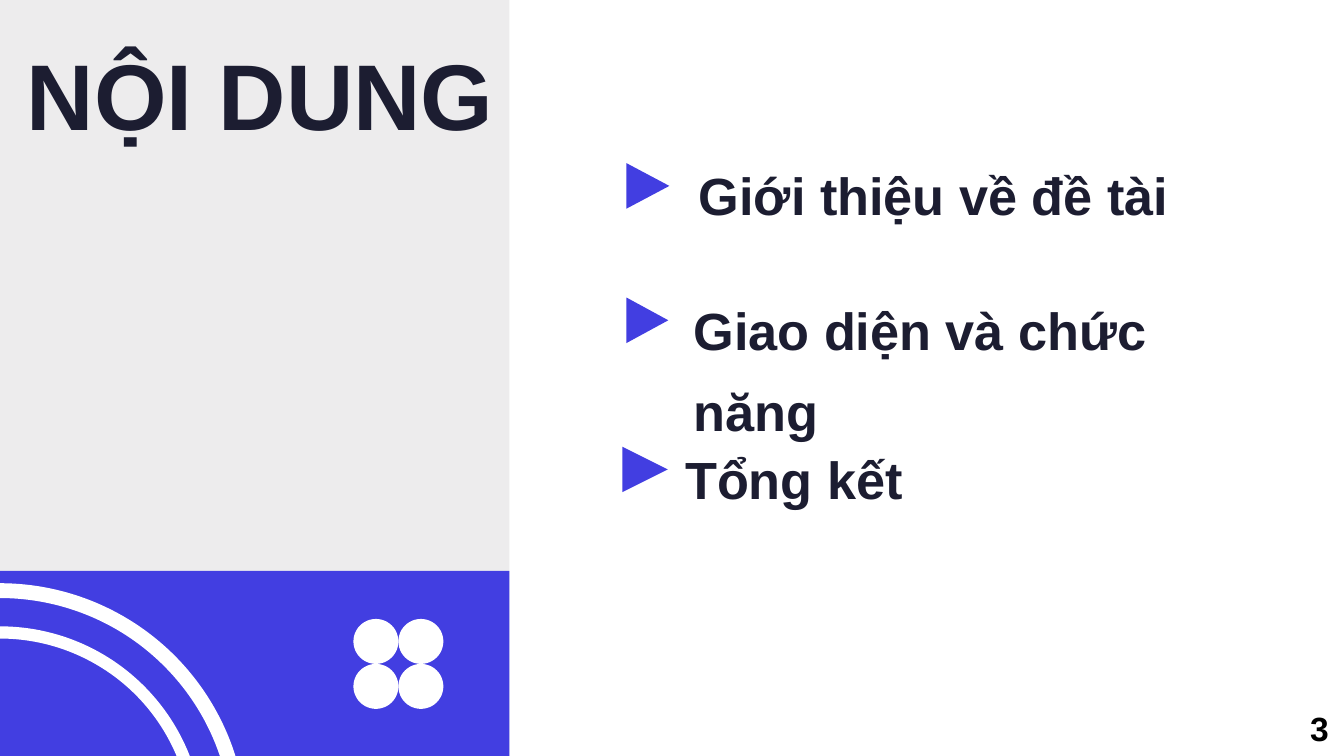
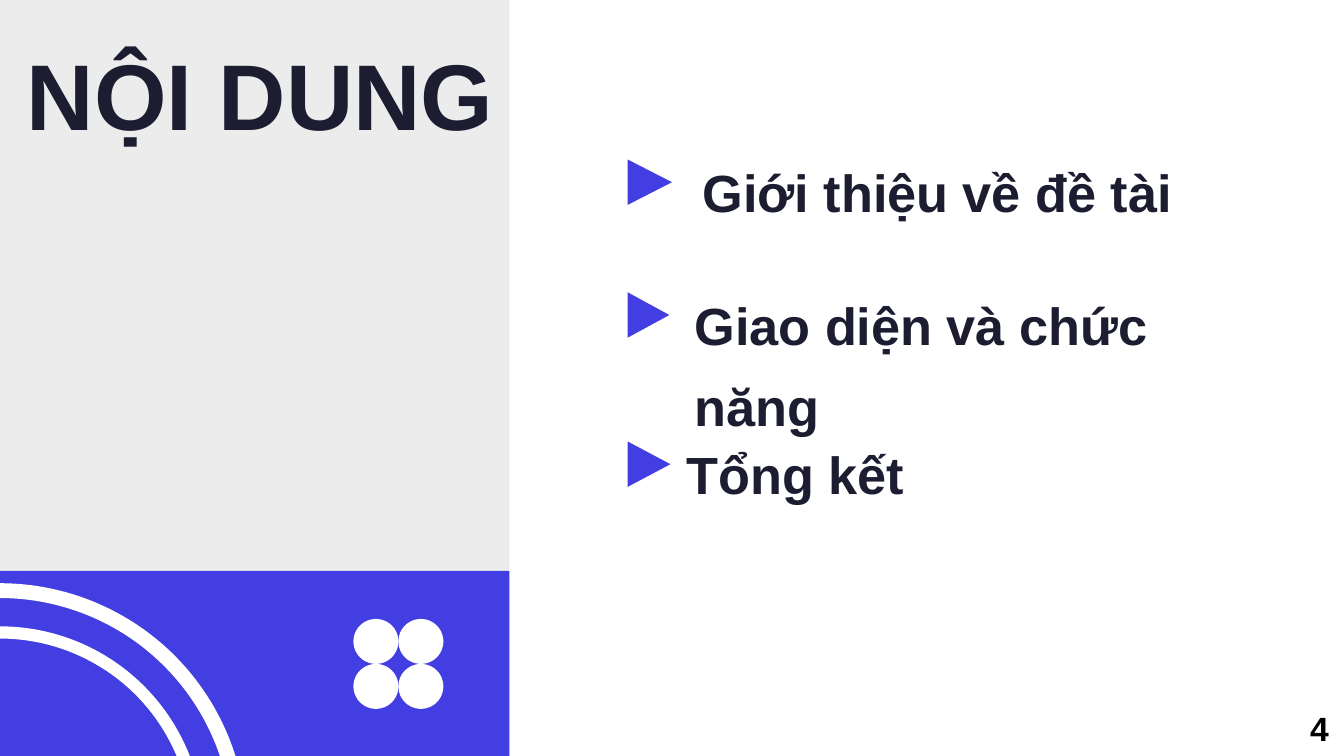
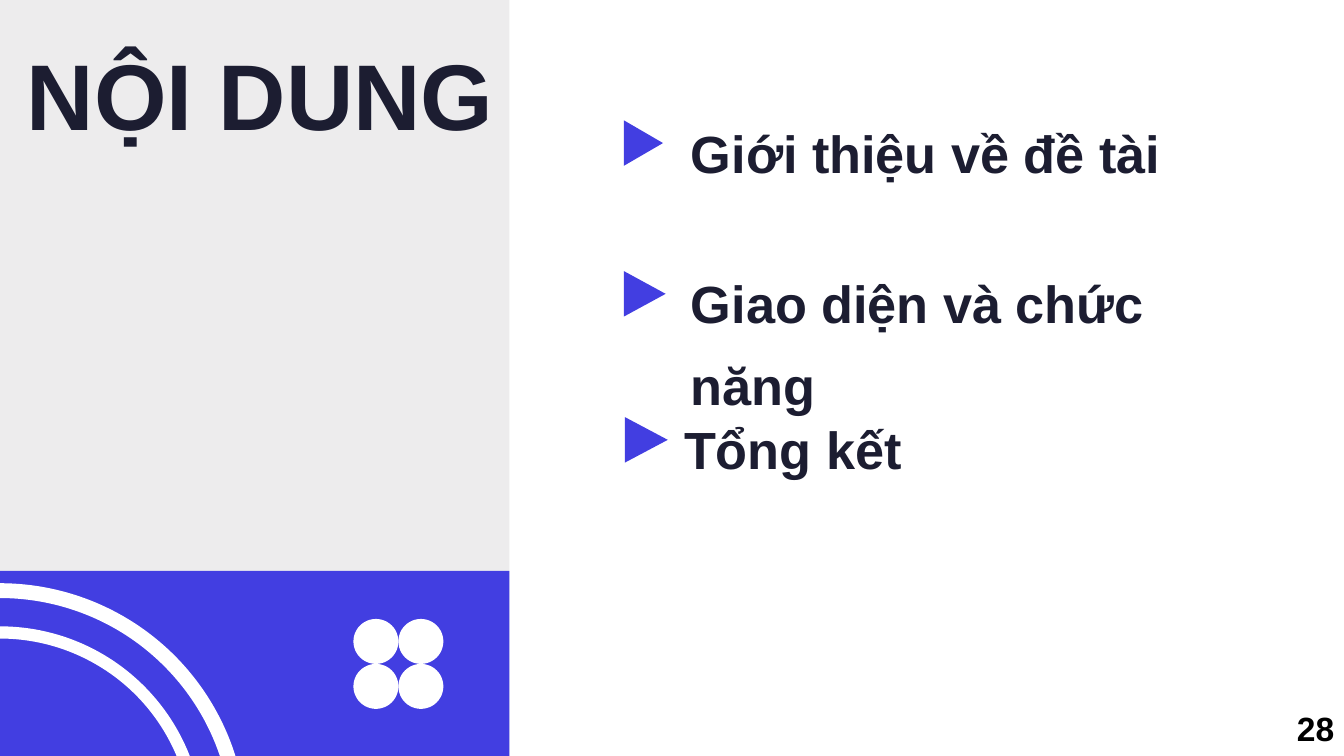
"""Build three agenda slides with a shared side panel, ring ornament and page number."""
from itertools import product

from pptx import Presentation
from pptx.dml.color import RGBColor
from pptx.enum.shapes import MSO_SHAPE
from pptx.enum.text import MSO_ANCHOR, MSO_AUTO_SIZE, PP_ALIGN
from pptx.util import Cm, Pt

RECTANGLE, OVAL = MSO_SHAPE.RECTANGLE, MSO_SHAPE.OVAL
DONUT, TRIANGLE = MSO_SHAPE.DONUT, MSO_SHAPE.ISOSCELES_TRIANGLE
TOP, LEFT = MSO_ANCHOR.TOP, PP_ALIGN.LEFT
FIXED, GROW = MSO_AUTO_SIZE.NONE, MSO_AUTO_SIZE.SHAPE_TO_FIT_TEXT

GREY = RGBColor(0xED, 0xEC, 0xED)
BLUE = RGBColor(0x42, 0x3E, 0xE1)
NAVY = RGBColor(0x1C, 0x1D, 0x31)
WHITE = RGBColor(0xFF, 0xFF, 0xFF)
BLACK = RGBColor(0x00, 0x00, 0x00)
FONT = "Arial"

TITLE = "NỘI DUNG"
TOPICS = ["Giới thiệu về đề tài", "Giao diện và chức năng", "Tổng kết"]

# Per topic: text left, text top, text width, marker left, marker length (cm)
AGENDAS = [
    {"number": "3", "number_left": 24.51, "number_width": 1.19, "places": [
        (13.21, 2.74, 10.9, 11.84, 0.81),
        (13.11, 5.28, 10.62, 11.84, 0.79),
        (12.95, 8.1, 11.68, 11.76, 0.86)]},
    {"number": "4", "number_left": 24.51, "number_width": 1.19, "places": [
        (13.28, 2.67, 11.2, 11.86, 0.84),
        (13.13, 5.18, 10.62, 11.86, 0.79),
        (12.98, 8.0, 11.0, 11.86, 0.81)]},
    {"number": "28", "number_left": 24.26, "number_width": 1.45, "places": [
        (13.06, 1.93, 9.96, 11.79, 0.74),
        (13.06, 4.78, 10.62, 11.79, 0.79),
        (12.93, 7.54, 11.0, 11.81, 0.81)]},
]

SLIDE_WIDTH, SLIDE_HEIGHT = 25.4, 14.29
PANEL_WIDTH, BAND_TOP = 9.63, 10.79
RING_CENTRE_Y, RING_DIAMETERS, RING_THICKNESS = 15.69, (9.33, 7.7), 0.03
CLOVER_LEFT, CLOVER_TOP, PETAL = 6.68, 11.7, 0.85
TOPIC_HEIGHT, MARKER_BASE = 1.55, 0.86


def add_filled(shapes, kind, left, top, width, height, color):
    shape = shapes.add_shape(kind, Cm(left), Cm(top), Cm(width), Cm(height))
    shape.shadow.inherit = False
    shape.fill.solid()
    shape.fill.fore_color.rgb = color
    shape.line.fill.background()
    return shape


def write(box, text, size, color, spacing=1.0, margin=True, fit=GROW):
    frame = box.text_frame
    frame.text = text
    frame.word_wrap = True
    frame.auto_size = fit
    frame.vertical_anchor = TOP
    if not margin:
        frame.margin_left = frame.margin_right = 0
        frame.margin_top = frame.margin_bottom = 0
    paragraph = frame.paragraphs[0]
    paragraph.alignment = LEFT
    paragraph.line_spacing = spacing
    font = paragraph.font
    font.name, font.size, font.bold = FONT, Pt(size), True
    font.color.rgb = color


def add_side_panel(slide):
    shapes, title = slide.shapes, slide.shapes.title
    for top, color in ((0, GREY), (BAND_TOP, BLUE)):
        panel = add_filled(shapes, RECTANGLE, 0, top, PANEL_WIDTH, SLIDE_HEIGHT - top, color)
        title.element.addprevious(panel.element)

    title.left, title.top, title.width, title.height = Cm(0.51), Cm(0.71), Cm(8.92), Cm(2.13)
    write(title, TITLE, 50, NAVY, margin=False, fit=FIXED)

    rings = shapes.add_group_shape().shapes
    for diameter in RING_DIAMETERS:
        radius = diameter / 2
        ring = add_filled(rings, DONUT, -radius, RING_CENTRE_Y - radius, diameter, diameter, WHITE)
        ring.adjustments[0] = RING_THICKNESS

    clover = shapes.add_group_shape().shapes
    for row, column in product(range(2), repeat=2):
        add_filled(clover, OVAL, CLOVER_LEFT + column * PETAL, CLOVER_TOP + row * PETAL,
                   PETAL, PETAL, WHITE)


def add_topic(slide, text, place):
    left, top, width, marker_left, length = place
    topic = slide.shapes.add_group_shape().shapes
    box = topic.add_textbox(Cm(left), Cm(top), Cm(width), Cm(TOPIC_HEIGHT))
    write(box, text, 28, NAVY, spacing=1.3, margin=False)
    marker = add_filled(topic, TRIANGLE, marker_left + (length - MARKER_BASE) / 2,
                        top + (TOPIC_HEIGHT - length) / 2, MARKER_BASE, length, BLUE)
    marker.rotation = 90


def main():
    deck = Presentation()
    deck.slide_width, deck.slide_height = Cm(SLIDE_WIDTH), Cm(SLIDE_HEIGHT)
    title_only = deck.slide_layouts[5]
    for agenda in AGENDAS:
        slide = deck.slides.add_slide(title_only)
        add_side_panel(slide)
        for text, place in zip(TOPICS, agenda["places"]):
            add_topic(slide, text, place)
        number = slide.shapes.add_textbox(Cm(agenda["number_left"]), Cm(13.26),
                                          Cm(agenda["number_width"]), Cm(1.02))
        write(number, agenda["number"], 18, BLACK)
    deck.save("out.pptx")


if __name__ == "__main__":
    main()
